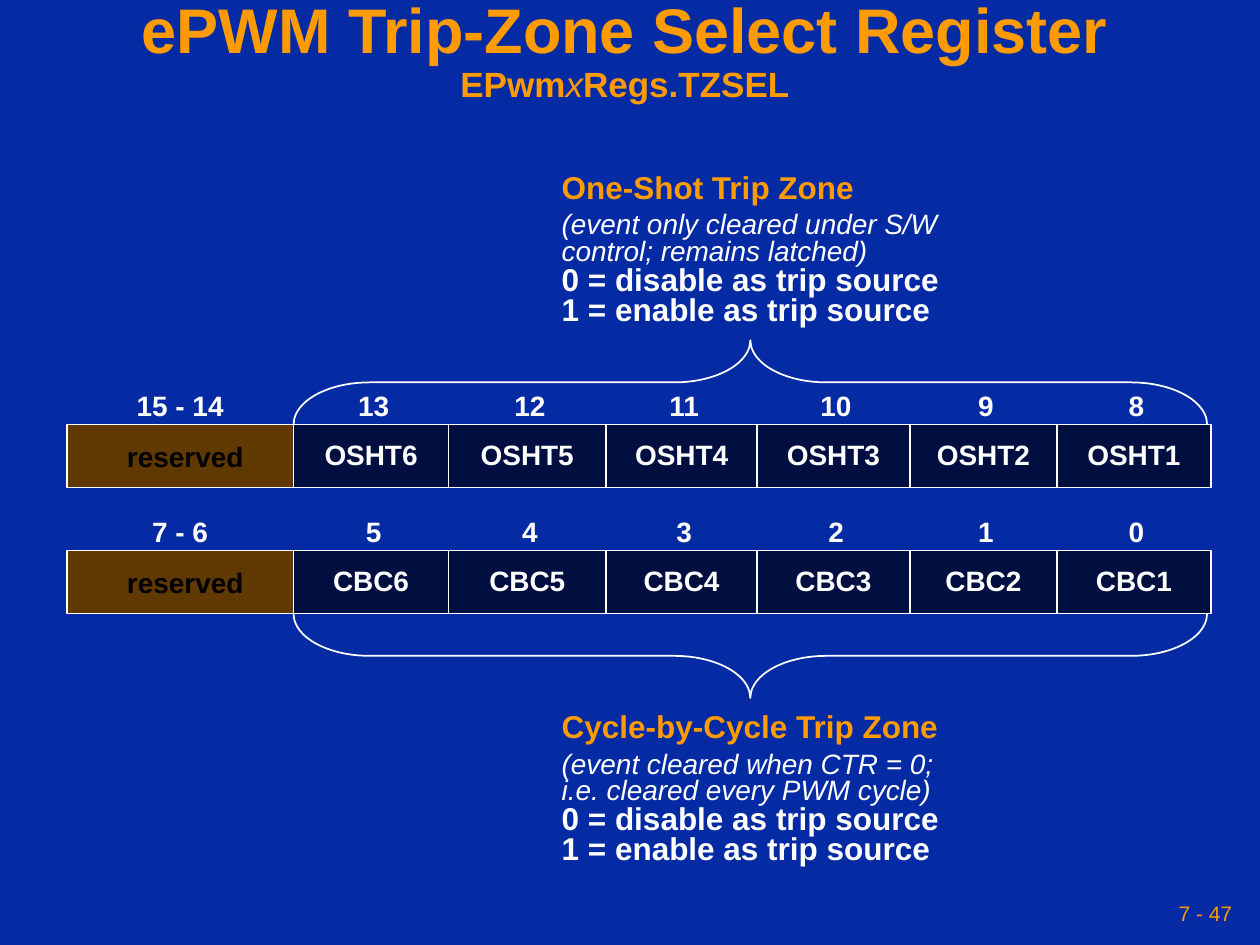
from lxml.etree import SubElement
from pptx import Presentation
from pptx.dml.color import RGBColor
from pptx.enum.shapes import MSO_CONNECTOR, MSO_SHAPE
from pptx.enum.text import MSO_ANCHOR, MSO_AUTO_SIZE, PP_ALIGN
from pptx.oxml.ns import qn
from pptx.util import Inches, Pt

BLUE = RGBColor(0x04, 0x2A, 0xA4)
NAVY = RGBColor(0x00, 0x0F, 0x40)
BROWN = RGBColor(0x60, 0x39, 0x00)
ORANGE = RGBColor(0xFE, 0x9B, 0x03)
WHITE = RGBColor(0xFF, 0xFF, 0xFF)
BLACK = RGBColor(0x00, 0x00, 0x00)

RESERVED_LEFT = 0.53
FIELD_EDGES = [2.33, 3.56, 4.81, 6.01, 7.22, 8.39, 9.61]
ROW_HEIGHT = 0.5
LABEL_HEIGHT = 0.32


def style(item, size, color, bold=False, italic=False):
    """Format the font of a run or a paragraph."""
    font = item.font
    font.name = "Arial"
    font.size = Pt(size)
    font.color.rgb = color
    font.bold = bold
    font.italic = italic


def set_margins(frame, side):
    frame.margin_left = frame.margin_right = Inches(side)
    frame.margin_top = frame.margin_bottom = Inches(0.05)
    frame.vertical_anchor = MSO_ANCHOR.MIDDLE


def add_text(page, left, top, width, height, text, side=0.1, wrap=False):
    box = page.shapes.add_textbox(
        Inches(left), Inches(top), Inches(width), Inches(height))
    frame = box.text_frame
    frame.word_wrap = wrap
    set_margins(frame, side)
    frame.text = text
    return frame


def add_label(page, center, top, width, text, color=WHITE):
    frame = add_text(page, center - width / 2, top, width, LABEL_HEIGHT, text,
                     side=0.05)
    para = frame.paragraphs[0]
    para.alignment = PP_ALIGN.CENTER
    para.line_spacing = 0.8
    style(para.runs[0], 16, color, bold=True)


def add_number(page, center, top, text):
    add_label(page, center, top, 0.2 + 0.12 * len(text), text)


def add_bar(page, left, top, right, color):
    bar = page.shapes.add_shape(
        MSO_SHAPE.RECTANGLE, Inches(left), Inches(top),
        Inches(right - left), Inches(ROW_HEIGHT))
    bar.shadow.inherit = False
    bar.fill.solid()
    bar.fill.fore_color.rgb = color
    bar.line.color.rgb = WHITE
    bar.line.width = Pt(1)


def add_divider(page, x, top):
    line = page.shapes.add_connector(
        MSO_CONNECTOR.STRAIGHT, Inches(x), Inches(top),
        Inches(x), Inches(top + ROW_HEIGHT))
    line.line.color.rgb = WHITE
    line.line.width = Pt(1)
    SubElement(line._element.spPr, qn("a:effectLst"))


def add_register_row(page, top, prefix, field_width, reserved_bits, high_bit):
    """Draw one byte of the register, with the bit numbers above it."""
    start, end = FIELD_EDGES[0], FIELD_EDGES[-1]
    number_top = top - 0.29
    add_bar(page, start, top, end, NAVY)
    add_bar(page, RESERVED_LEFT, top, start, BROWN)
    reserved_center = (RESERVED_LEFT + start) / 2
    add_number(page, reserved_center, number_top, reserved_bits)
    add_label(page, reserved_center + 0.04, top + 0.12, 1.12, "reserved", BLACK)
    for x in FIELD_EDGES[1:-1]:
        add_divider(page, x, top)
    for index, (left, right) in enumerate(zip(FIELD_EDGES, FIELD_EDGES[1:])):
        center = (left + right) / 2
        add_label(page, center, top + 0.1, field_width, f"{prefix}{6 - index}")
        add_number(page, center + 0.02, number_top, str(high_bit - index))


def add_brace(page, left, top, width, height, rotation):
    """Fit a turned brace into the box that it shows in."""
    brace = page.shapes.add_shape(
        MSO_SHAPE.LEFT_BRACE, Inches(left + (width - height) / 2),
        Inches(top + (height - width) / 2), Inches(height), Inches(width))
    brace.rotation = rotation
    brace.adjustments[0] = 0.9
    brace.shadow.inherit = False
    brace.fill.background()
    brace.line.color.rgb = WHITE
    brace.line.width = Pt(1)


def add_trip_note(page, left, top, heading, remarks):
    lines = [heading, *remarks,
             "0 = disable as trip source", "1 = enable as trip source"]
    frame = add_text(page, left, top, 3.2, 1.31, "\n".join(lines))
    for para in frame.paragraphs:
        para.line_spacing = 0.8
        para.space_before = Pt(0)
        is_remark = para.text in remarks
        style(para.runs[0], 16 if is_remark else 18, WHITE,
              bold=not is_remark, italic=is_remark)
    first = frame.paragraphs[0]
    first.space_after = Pt(4.5)
    first.runs[0].font.color.rgb = ORANGE


def add_title(page, left, top, width, height):
    title = page.shapes.title
    title.left, title.top = Inches(left), Inches(top)
    title.width, title.height = Inches(width), Inches(height)
    frame = title.text_frame
    frame.auto_size = MSO_AUTO_SIZE.NONE
    frame.word_wrap = True
    set_margins(frame, 0.05)
    para = frame.paragraphs[0]
    para.text = "ePWM Trip-Zone Select Register\v"
    para.alignment = PP_ALIGN.CENTER
    para.line_spacing = 0.9
    style(para.runs[0], 36, ORANGE, bold=True)
    for text in ("EPwm", "x", "Regs.TZSEL"):
        span = para.add_run()
        span.text = text
        style(span, 20, ORANGE, bold=text != "x", italic=text == "x")


def add_page_number(page, left, top, width, height):
    frame = add_text(page, left, top, width, height, "7 - 47", 0.05, wrap=True)
    para = frame.paragraphs[0]
    para.alignment = PP_ALIGN.RIGHT
    style(para.runs[0], 12, ORANGE)


def main():
    deck = Presentation()
    deck.slide_width, deck.slide_height = Inches(10), Inches(7.5)
    page = deck.slides.add_slide(deck.slide_layouts[5])
    page.background.fill.solid()
    page.background.fill.fore_color.rgb = BLUE

    add_page_number(page, 6.83, 7.08, 3, 0.33)
    add_title(page, 0, 0, 9.92, 0.83)
    add_register_row(page, 3.37, "OSHT", 0.94, "15 - 14", 13)
    add_register_row(page, 4.37, "CBC", 0.8, "7 - 6", 5)
    add_brace(page, 2.33, 4.87, 7.25, 0.67, 270)
    add_brace(page, 2.33, 2.7, 7.25, 0.67, 90)
    add_trip_note(page, 4.36, 5.62, "Cycle-by-Cycle Trip Zone",
                  ["(event cleared when CTR = 0;",
                   "i.e. cleared every PWM cycle)"])
    add_trip_note(page, 4.36, 1.34, "One-Shot Trip Zone",
                  ["(event only cleared under S/W",
                   "control; remains latched)"])
    deck.save("out.pptx")


if __name__ == "__main__":
    main()
